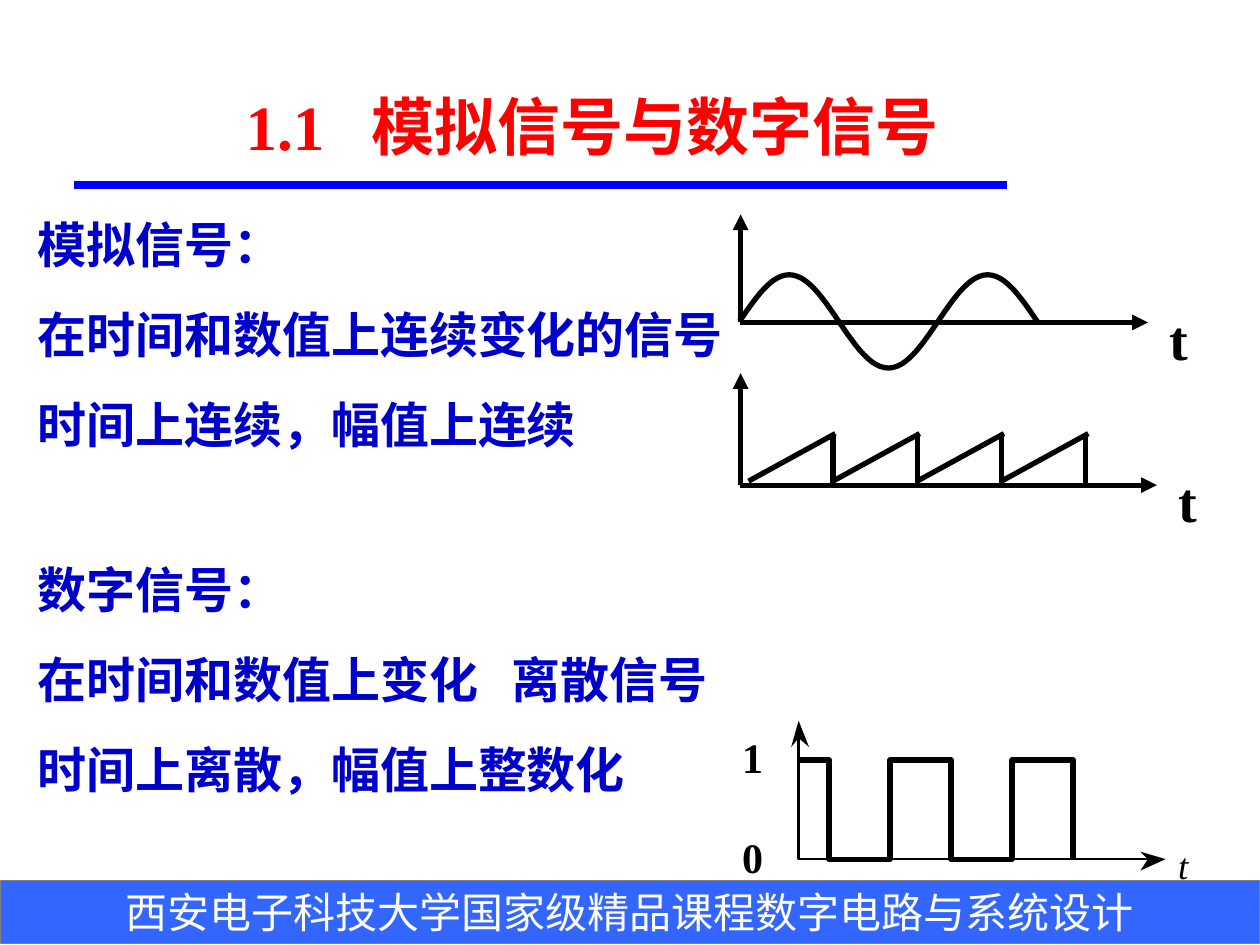
"""Build the slide comparing analog and digital signals."""
from dataclasses import dataclass
from math import pi, sin
from typing import Optional

from pptx import Presentation
from pptx.dml.color import RGBColor as Color
from pptx.enum.shapes import MSO_CONNECTOR as Connector, MSO_SHAPE as Preset
from pptx.enum.text import MSO_ANCHOR as Anchor, PP_ALIGN as Align
from pptx.oxml.ns import qn
from pptx.util import Cm, Pt
from lxml.etree import SubElement

Point = tuple[float, float]


@dataclass(frozen=True)
class Theme:
    title: Color = Color(0xFF, 0x00, 0x00)
    body: Color = Color(0x00, 0x00, 0xCC)
    rule: Color = Color(0x00, 0x00, 0xFF)
    ink: Color = Color(0x00, 0x00, 0x00)
    footer: Color = Color(0x33, 0x66, 0xFF)
    border: Color = Color(0x80, 0x80, 0x80)
    light: Color = Color(0xFF, 0xFF, 0xFF)
    serif: str = "Times New Roman"
    sans: str = "Arial"
    chinese: str = "Noto Sans CJK SC"
    title_size: float = 36
    axis_size: float = 32
    body_size: float = 28
    small_size: float = 24
    time_size: float = 21
    thick: float = 3


THEME = Theme()


@dataclass(frozen=True)
class TextStyle:
    font: str
    size: float
    color: Color
    bold: bool = True
    italic: bool = False
    leading: Optional[float] = None
    tab: Optional[float] = None


@dataclass(frozen=True)
class Line:
    text: str
    before: float = 0


@dataclass(frozen=True)
class Box:
    left: float
    top: float
    width: float
    height: float


@dataclass(frozen=True)
class Axes:
    x: float
    y: float
    top: float
    right: float
    label: Box


TITLE_STYLE = TextStyle(THEME.serif, THEME.title_size, THEME.title, leading=43.5, tab=2.54)
BODY_STYLE = TextStyle(THEME.chinese, THEME.body_size, THEME.body, leading=34, tab=9.55)
FOOTER_STYLE = TextStyle(THEME.sans, THEME.small_size, THEME.light, bold=False)
AXIS_STYLE = TextStyle(THEME.serif, THEME.axis_size, THEME.ink)
LEVEL_STYLE = TextStyle(THEME.serif, THEME.small_size, THEME.ink)
TIME_STYLE = TextStyle(THEME.serif, THEME.time_size, THEME.ink, bold=False, italic=True)

BODY_LINES = [
    Line("模拟信号："),
    Line("在时间和数值上连续变化的信号", 17.5),
    Line("时间上连续，幅值上连续", 17.5),
    Line("数字信号：", 60.3),
    Line("在时间和数值上变化\t离散信号", 17.5),
    Line("时间上离散，幅值上整数化", 17.5),
]
SINE_AXES = Axes(14.93, 6.5, 4.32, 23.14, Box(23.32, 6.02, 1.2, 1.63))
SAW_AXES = Axes(14.93, 9.78, 7.52, 23.32, Box(23.5, 9.27, 1.2, 1.63))
LEVELS = {"0": 16.64, "1": 14.63}


def write(paragraph, text: str, style: TextStyle) -> None:
    if style.tab and "\t" in text:
        tabs = SubElement(paragraph._p.get_or_add_pPr(), qn("a:tabLst"))
        SubElement(tabs, qn("a:tab"), pos=str(Cm(style.tab)), algn="l")
    if style.leading:
        paragraph.line_spacing = Pt(style.leading)
    run = paragraph.add_run()
    run.text = text
    font = run.font
    font.name, font.size = style.font, Pt(style.size)
    font.bold, font.italic = style.bold, style.italic
    font.color.rgb = style.color
    SubElement(run._r.get_or_add_rPr(), qn("a:ea"), typeface=THEME.chinese)


def add_text(slide, box: Box, lines: list[Line], style: TextStyle, tight: bool = False) -> None:
    shape = slide.shapes.add_textbox(Cm(box.left), Cm(box.top), Cm(box.width), Cm(box.height))
    frame = shape.text_frame
    frame.word_wrap = not tight
    if tight:
        frame.margin_left = frame.margin_right = frame.margin_top = frame.margin_bottom = 0
    for index, line in enumerate(lines):
        paragraph = frame.add_paragraph() if index else frame.paragraphs[0]
        if index:
            paragraph.space_before = Pt(line.before)
        write(paragraph, line.text, style)


def add_line(slide, start: Point, end: Point, color: Color = THEME.ink,
             width: float = THEME.thick, arrow: bool = False) -> None:
    connector = slide.shapes.add_connector(
        Connector.STRAIGHT, *(Cm(value) for value in start + end))
    connector.line.color.rgb = color
    connector.line.width = Pt(width)
    if arrow:
        SubElement(connector.line._get_or_add_ln(), qn("a:tailEnd"), type="triangle")
    SubElement(connector._element.spPr, qn("a:effectLst"))


def add_outline(slide, points: list[Point], width: float = THEME.thick, solid: bool = False) -> None:
    start, *rest = [(Cm(x), Cm(y)) for x, y in points]
    builder = slide.shapes.build_freeform(*start)
    builder.add_line_segments(rest, close=solid)
    shape = builder.convert_to_shape()
    shape.shadow.inherit = False
    if solid:
        shape.fill.solid()
        shape.fill.fore_color.rgb = THEME.ink
        shape.line.fill.background()
    else:
        shape.fill.background()
        shape.line.color.rgb = THEME.ink
        shape.line.width = Pt(width)


def add_axes(slide, axes: Axes) -> None:
    add_line(slide, (axes.x, axes.y), (axes.x, axes.top), arrow=True)
    add_line(slide, (axes.x - 0.02, axes.y), (axes.right, axes.y), arrow=True)
    add_text(slide, axes.label, [Line("t")], AXIS_STYLE)


def add_footer(slide) -> None:
    bar = slide.shapes.add_shape(Preset.RECTANGLE, 0, Cm(17.75), Cm(25.4), Cm(1.27))
    bar.shadow.inherit = False
    bar.fill.solid()
    bar.fill.fore_color.rgb = THEME.footer
    bar.line.color.rgb = THEME.border
    bar.line.width = Pt(0.75)
    bar.text_frame.vertical_anchor = Anchor.MIDDLE
    paragraph = bar.text_frame.paragraphs[0]
    paragraph.alignment = Align.CENTER
    write(paragraph, "西安电子科技大学国家级精品课程数字电路与系统设计", FOOTER_STYLE)


def add_sine(slide) -> None:
    half_period, samples = 2.0, 72
    steps = [3 * half_period * index / samples for index in range(samples + 1)]
    add_outline(slide, [(14.91 + x, 6.48 - 0.94 * sin(pi * x / half_period)) for x in steps])


def add_sawtooth(slide, teeth: int = 4, pitch: float = 1.7) -> None:
    for index in range(teeth):
        left = 15.09 + index * pitch
        add_line(slide, (left, 9.7), (left + pitch + 0.05, 8.74))
        add_line(slide, (left + pitch, 8.76), (left + pitch, 9.73))


def add_digital(slide) -> None:
    left, high, low = 16.1, 15.32, 17.32
    points, level, other = [(left, high)], high, low
    for index in range(5):
        edge = 16.71 + index * 1.23
        points += [(edge, level), (edge, other)]
        level, other = other, level
    add_outline(slide, points)
    add_outline(slide, [(left, 14.78), (left, low), (23.24, low)], width=1.5)
    add_outline(slide, [(16.31, 15.06), (left, 14.53), (15.95, 15.06), (left, 14.88)], solid=True)
    add_outline(slide, [(22.99, 17.55), (23.5, low), (22.99, 17.17), (23.14, low)], solid=True)
    add_text(slide, Box(23.75, 16.99, 0.2, 0.89), [Line("t")], TIME_STYLE, tight=True)
    for text, top in LEVELS.items():
        add_text(slide, Box(14.71, top, 0.99, 1.27), [Line(text)], LEVEL_STYLE)


def main() -> None:
    presentation = Presentation()
    presentation.slide_width, presentation.slide_height = Cm(25.4), Cm(19.05)
    slide = presentation.slides.add_slide(presentation.slide_layouts[6])
    add_footer(slide)
    add_line(slide, (1.5, 3.73), (20.29, 3.73), THEME.rule, 5)
    add_text(slide, Box(0.51, 4.19, 24.31, 13.16), BODY_LINES, BODY_STYLE)
    add_text(slide, Box(4.7, 1.63, 16.41, 1.78), [Line("1.1\t模拟信号与数字信号")], TITLE_STYLE)
    for axes in (SINE_AXES, SAW_AXES):
        add_axes(slide, axes)
    add_sine(slide)
    add_sawtooth(slide)
    add_digital(slide)
    presentation.save("out.pptx")


if __name__ == "__main__":
    main()
